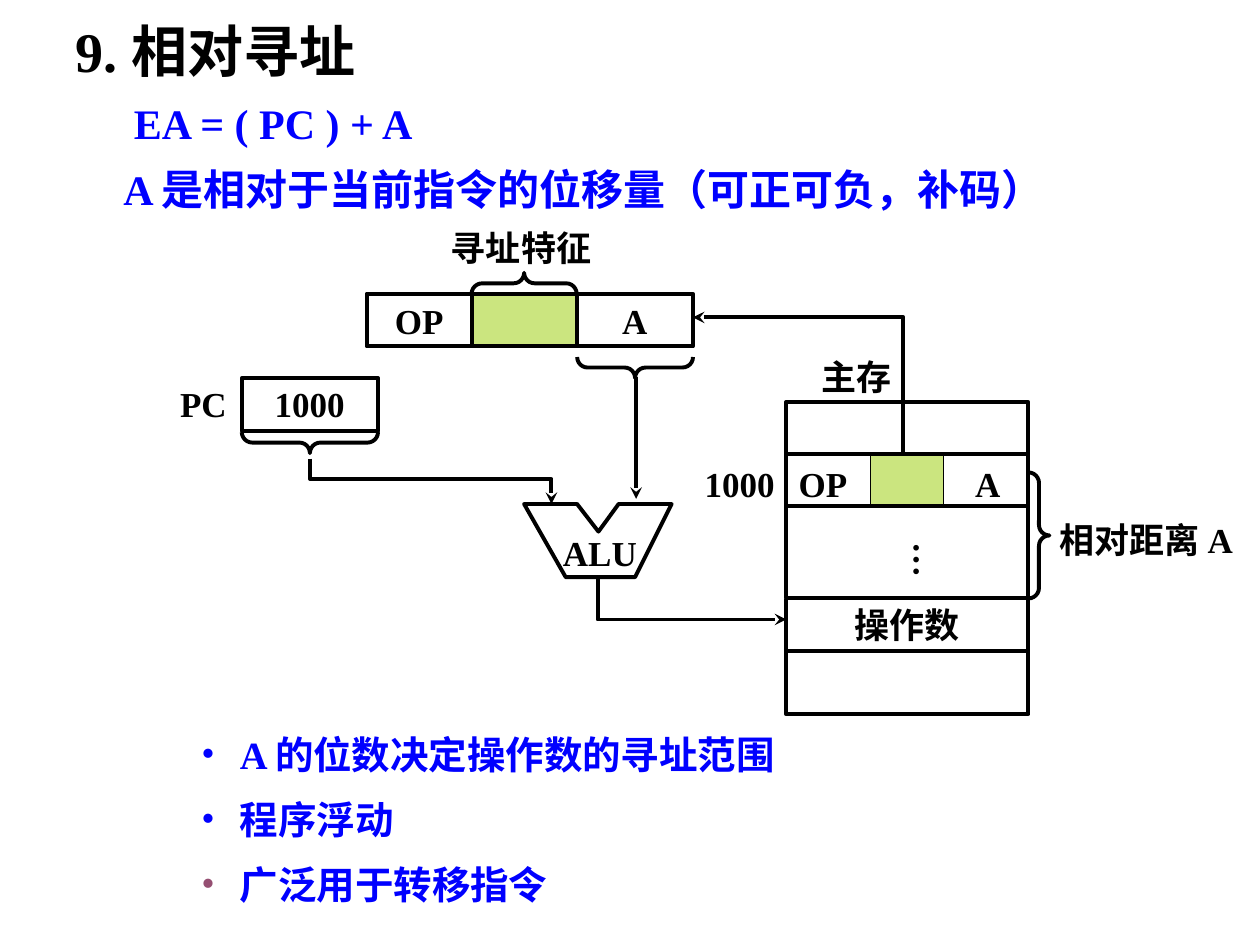
from dataclasses import dataclass

import pptx
import pptx.dml.color
import pptx.enum.shapes
import pptx.enum.text
import pptx.oxml
import pptx.oxml.ns
import pptx.util

Pt = pptx.util.Pt
RGBColor = pptx.dml.color.RGBColor
Kind = pptx.enum.shapes.MSO_SHAPE
Align = pptx.enum.text.PP_ALIGN
Anchor = pptx.enum.text.MSO_ANCHOR
AutoSize = pptx.enum.text.MSO_AUTO_SIZE

BLACK = RGBColor(0x00, 0x00, 0x00)
BLUE = RGBColor(0x00, 0x00, 0xFF)
PLUM = RGBColor(0x95, 0x4F, 0x72)
GREEN = RGBColor(0x99, 0xCC, 0x00)
FONT = "Times New Roman"
STROKE = 2.25


@dataclass
class Label:
    text: str
    left: float
    top: float
    width: float
    height: float = 31.5
    size: float = 20
    color: RGBColor = BLACK
    centered: bool = False
    bullet: RGBColor | None = None


@dataclass
class Cell:
    left: float
    top: float
    width: float
    height: float
    text: str = ""
    green: bool = False
    stroke: float = STROKE


@dataclass
class Brace:
    kind: Kind
    left: float
    top: float
    length: float
    rotation: float = 0


@dataclass
class Route:
    points: list[tuple[float, float]]
    arrow: str = "tailEnd"
    closed: bool = False


def add_xml(parent, tag: str, **attributes: str):
    child = pptx.oxml.parse_xml(f"<a:{tag} {pptx.oxml.ns.nsdecls('a')}/>")
    for name, value in attributes.items():
        child.set(name, value)
    parent.append(child)
    return child


def write_text(para, text: str, size: float, color: RGBColor) -> None:
    span = para.add_run()
    span.text = text
    for name, value in {"name": FONT, "size": Pt(size), "bold": True}.items():
        setattr(span.font, name, value)
    span.font.color.rgb = color


def set_outline(shape, stroke: float = STROKE) -> None:
    shape.shadow.inherit = False
    shape.fill.background()
    shape.line.color.rgb = BLACK
    shape.line.width = Pt(stroke)


def add_bullet(para, color: RGBColor) -> None:
    properties = para._p.get_or_add_pPr()
    properties.set("marL", str(Pt(22)))
    properties.set("indent", str(-Pt(22)))
    add_xml(add_xml(properties, "buClr"), "srgbClr", val=str(color))
    add_xml(properties, "buFont", typeface=FONT)
    add_xml(properties, "buChar", char="•")


def draw_label(page, label: Label):
    box = page.shapes.add_textbox(
        Pt(label.left), Pt(label.top), Pt(label.width), Pt(label.height))
    frame = box.text_frame
    settings = {
        "word_wrap": True,
        "auto_size": AutoSize.NONE if label.centered else AutoSize.SHAPE_TO_FIT_TEXT,
        "vertical_anchor": Anchor.MIDDLE if label.centered else Anchor.TOP,
    }
    for name, value in settings.items():
        setattr(frame, name, value)
    para = frame.paragraphs[0]
    para.alignment = Align.CENTER if label.centered else Align.LEFT
    if label.bullet is not None:
        add_bullet(para, label.bullet)
    write_text(para, label.text, label.size, label.color)
    return box


def draw_cell(page, cell: Cell) -> None:
    shape = page.shapes.add_shape(
        Kind.RECTANGLE, Pt(cell.left), Pt(cell.top), Pt(cell.width), Pt(cell.height))
    set_outline(shape, cell.stroke)
    if cell.green:
        shape.fill.solid()
        shape.fill.fore_color.rgb = GREEN
        color = shape._element.spPr.find(".//" + pptx.oxml.ns.qn("a:srgbClr"))
        add_xml(color, "alpha", val="50000")
    if cell.text:
        frame = shape.text_frame
        frame.word_wrap = False
        frame.vertical_anchor = Anchor.MIDDLE
        frame.paragraphs[0].alignment = Align.CENTER
        write_text(frame.paragraphs[0], cell.text, 20, BLACK)


def draw_brace(page, brace: Brace) -> None:
    shape = page.shapes.add_shape(
        brace.kind, Pt(brace.left), Pt(brace.top), Pt(12), Pt(brace.length))
    set_outline(shape)
    shape.adjustments[0] = 0.5
    shape.rotation = brace.rotation


def draw_route(page, route: Route) -> None:
    points = [(Pt(x), Pt(y)) for x, y in route.points]
    builder = page.shapes.build_freeform(*points[0], scale=1.0)
    builder.add_line_segments(points[1:], close=route.closed)
    shape = builder.convert_to_shape()
    set_outline(shape)
    if not route.closed:
        add_xml(shape.line._get_or_add_ln(), route.arrow, type="stealth")


def draw_line(page, start: tuple[float, float], end: tuple[float, float],
              arrow: bool = False) -> None:
    line = page.shapes.add_connector(
        pptx.enum.shapes.MSO_CONNECTOR.STRAIGHT, *map(Pt, start), *map(Pt, end))
    line.line.color.rgb = BLACK
    line.line.width = Pt(STROKE)
    if arrow:
        add_xml(line.line._get_or_add_ln(), "tailEnd", type="stealth")
    add_xml(line._element.spPr, "effectLst")


LEFT, RIGHT = 449.3, 587.7
MEMORY = RIGHT - LEFT
CODE_TOP, CODE_BOTTOM, OPERAND_TOP, OPERAND_BOTTOM = 259.3, 289.4, 342, 372.2

LABELS = [
    Label("9. 相对寻址", 36, 5.8, 267, 46, 32),
    Label("EA = ( PC ) + A", 69.4, 52, 180, 36, 24, BLUE),
    Label("A 是相对于当前指令的位移量（可正可负，补码）", 63.4, 90, 631, 36, 24, BLUE),
    Label("寻址特征", 250.6, 126, 98),
    Label("ALU", 314.6, 300.2, 60),
    Label("1000", 149.8, 214.8, 58),
    Label("PC", 95.8, 214.8, 72),
    Label("主存", 462.2, 199.4, 58),
    Label("1000", 395.6, 260.6, 58),
    Label("OP", LEFT, 260.6, 46),
    Label("A", 550.1, 260.6, 32),
    Label("操作数", LEFT, OPERAND_TOP, MEMORY, 30.2, centered=True),
    Label("相对距离 A", 598.3, 293, 121.5),
]
NOTES = [("A 的位数决定操作数的寻址范围", BLUE), ("程序浮动", BLUE), ("广泛用于转移指令", PLUM)]
LABELS += [Label(text, 108, 414 + 37.1 * row, 428, 34, 22, BLUE, bullet=color)
           for row, (text, color) in enumerate(NOTES)]

CELLS = [
    Cell(209.5, 167.8, 60, 30.2, "OP"),
    Cell(269.5, 167.8, 60, 30.2, green=True),
    Cell(329.5, 167.8, 66.5, 30.2, "A"),
    Cell(138.2, 216, 77.8, 30.2),
    Cell(LEFT, 229.7, MEMORY, OPERAND_TOP - 229.7),
    Cell(LEFT, OPERAND_BOTTOM, MEMORY, 36),
    Cell(497.5, CODE_TOP, 41.8, 30.2, green=True, stroke=0.75),
]
BRACES = [
    Brace(Kind.LEFT_BRACE, 293.5, 131.9, 60, 90),
    Brace(Kind.LEFT_BRACE, 356.9, 176.9, 66.2, 270),
    Brace(Kind.LEFT_BRACE, 171.1, 214, 77.8, 270),
    Brace(Kind.RIGHT_BRACE, RIGHT, 270, 72),
]
ROUTES = [
    Route([(299.5, 288), (329.8, 288), (342, 303.8), (353.5, 288), (383.8, 288),
           (362.9, 329.8), (323.3, 329.8)], closed=True),
    Route([(341.5, 329.8), (341.5, 354), (LEFT, 354)]),
    Route([(177.1, 262), (177.1, 273.6), (315.1, 273.6), (315.1, 288)]),
    Route([(396, 181.4), (516.2, 181.4), (516.2, CODE_TOP)], "headEnd"),
]

deck = pptx.Presentation()
deck.slide_width, deck.slide_height = Pt(720), Pt(540)
page = deck.slides.add_slide(deck.slide_layouts[6])

for draw, items in ((draw_cell, CELLS), (draw_brace, BRACES),
                    (draw_route, ROUTES), (draw_label, LABELS)):
    for item in items:
        draw(page, item)

for y in (CODE_TOP, CODE_BOTTOM):
    draw_line(page, (LEFT, y), (RIGHT, y))
for x in (LEFT, RIGHT):
    draw_line(page, (x, OPERAND_TOP), (x, OPERAND_BOTTOM))
draw_line(page, (363.5, 215.3), (363.5, 285.1), arrow=True)

dots = draw_label(page, Label("…", 507.6, 293.8, 38.2, 43.9)).text_frame
dots.auto_size = AutoSize.NONE
margins = {"margin_left": 3.6, "margin_right": 3.6, "margin_top": 16, "margin_bottom": 7.2}
for name, value in margins.items():
    setattr(dots, name, Pt(value))
dots._txBody.bodyPr.set("vert", "eaVert")

deck.save("out.pptx")
